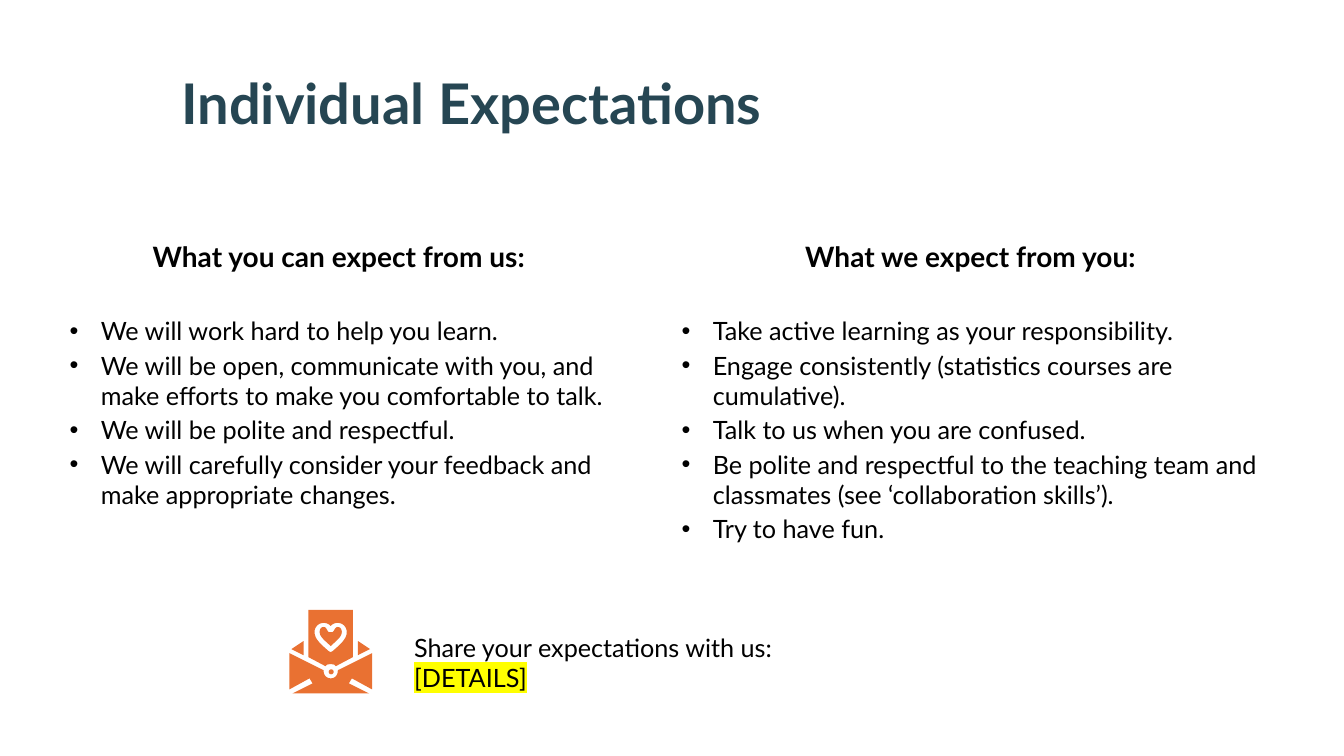
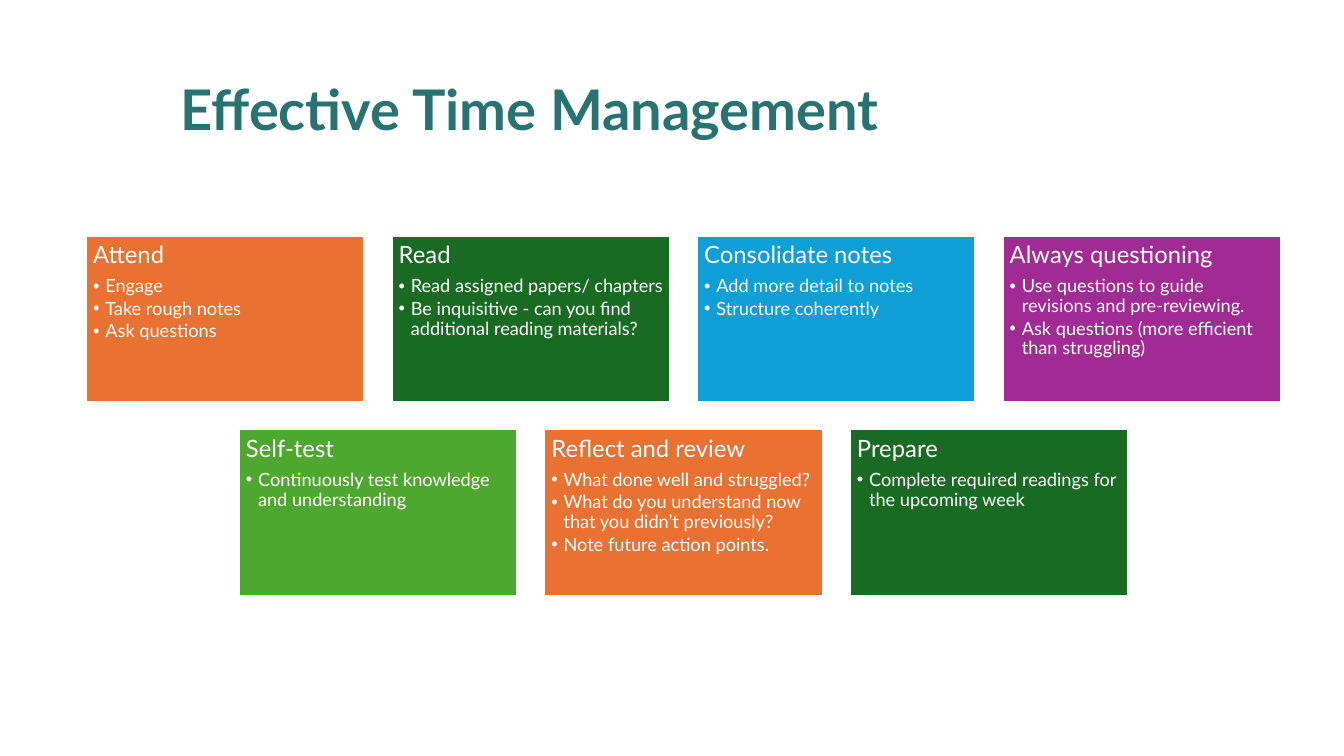
import pptx
import pptx.dml.color
import pptx.enum.shapes
import pptx.enum.text
import pptx.oxml
import pptx.oxml.ns
import pptx.util

Inches = pptx.util.Inches
Pt = pptx.util.Pt
RGBColor = pptx.dml.color.RGBColor
ALIGN = pptx.enum.text.PP_ALIGN
ANCHOR = pptx.enum.text.MSO_ANCHOR
SHAPE = pptx.enum.shapes.MSO_SHAPE

NAVY = RGBColor(0x26, 0x46, 0x53)
TEAL = RGBColor(0x28, 0x72, 0x71)
BLACK = RGBColor(0x00, 0x00, 0x00)
WHITE = RGBColor(0xFF, 0xFF, 0xFF)
ORANGE = RGBColor(0xE9, 0x71, 0x32)
GREEN = RGBColor(0x19, 0x6B, 0x24)
BLUE = RGBColor(0x0F, 0x9E, 0xD5)
PURPLE = RGBColor(0xA0, 0x2B, 0x93)
LIME = RGBColor(0x4E, 0xA7, 0x2E)
YELLOW = RGBColor(0xFF, 0xFF, 0x00)

FACE = "Lato"
TWO_LISTS, TITLE_ONLY = 3, 5

# Text formats: run font, and paragraph spacing
TITLE = {"size": Pt(40), "bold": True}
HEAD = {"size": Pt(20), "bold": True}
BODY = {"size": Pt(18), "bold": False}
CARD_HEAD = {"size": Pt(17)}
CARD_BODY = {"size": Pt(13)}
HEAD_GAP = {"alignment": ALIGN.CENTER, "space_before": 0, "space_after": Pt(30)}
BODY_GAP = {"alignment": ALIGN.LEFT, "space_before": 0, "space_after": Pt(3)}
CARD_HEAD_GAP = {"alignment": ALIGN.LEFT, "line_spacing": 0.9,
                 "space_after": Pt(6)}
CARD_GAP = {"alignment": ALIGN.LEFT, "level": 1, "line_spacing": 0.9,
            "space_before": 0, "space_after": Pt(2)}


def apply(item, values):
    for name, value in values.items():
        setattr(item, name, value)


def place(shape, left, top, width, height):
    apply(shape, {"left": Inches(left), "top": Inches(top),
                  "width": Inches(width), "height": Inches(height)})


def trace(steps):
    """Turn line ends (x, y) and cubic curves (six numbers) into points."""
    points = []
    for step in steps:
        if len(step) == 2:
            points.append(step)
            continue
        start = points[-1]
        knots = [start, step[:2], step[2:4], step[4:]]
        for i in range(1, 9):
            t = i / 8
            parts = ((1 - t) ** 3, 3 * t * (1 - t) ** 2, 3 * t * t * (1 - t), t ** 3)
            points.append(tuple(sum(w * k[axis] for w, k in zip(parts, knots))
                                for axis in (0, 1)))
    return points


def mirror(steps):
    """Close a right half, given as offsets from the axis, with its left half."""
    half = trace(steps)
    return half + [(-x, y) for x, y in reversed(half)]


class Deck:
    def __init__(self):
        self.show = pptx.Presentation()
        apply(self.show, {"slide_width": Inches(13.33),
                          "slide_height": Inches(7.5)})
        self.slide = None

    def page(self, layout, title, color, left, top, width):
        self.slide = self.show.slides.add_slide(self.show.slide_layouts[layout])
        shape = self.slide.shapes.title
        place(shape, left, top, width, 0.77)
        frame = self.frame(shape)
        self.put(frame.paragraphs[0], title, TITLE, color,
                 {"alignment": ALIGN.LEFT})

    def frame(self, shape):
        frame = shape.text_frame
        apply(frame, {"word_wrap": True, "vertical_anchor": ANCHOR.TOP,
                      "auto_size": pptx.enum.text.MSO_AUTO_SIZE.NONE})
        return frame

    def put(self, line, text, font, color, gap, bullet=None):
        apply(line, gap)
        props = line._p.get_or_add_pPr()
        indent = Inches(bullet or 0)
        props.set("marL", str(indent))
        props.set("indent", str(-indent))
        if bullet:
            face = pptx.oxml.ns.qn("a:buFont")
            props.append(props.makeelement(face, {"typeface": "Arial"}))
            mark = pptx.oxml.ns.qn("a:buChar")
            props.append(props.makeelement(mark, {"char": "•"}))
        else:
            props.append(props.makeelement(pptx.oxml.ns.qn("a:buNone"), {}))
        run = line.add_run()
        run.text = text
        apply(run.font, {"name": FACE, **font})
        run.font.color.rgb = color
        return run

    def column(self, slot, left, width, head, items):
        shape = self.slide.placeholders[slot]
        place(shape, left, 2.33, width, 3.15)
        frame = self.frame(shape)
        self.put(frame.paragraphs[0], head, HEAD, BLACK, HEAD_GAP)
        for item in items:
            self.put(frame.add_paragraph(), item, BODY, BLACK, BODY_GAP, 0.31)

    def card(self, left, top, width, height, color, head, items):
        shape = self.slide.shapes.add_shape(
            SHAPE.RECTANGLE, Inches(left), Inches(top), Inches(width), Inches(height))
        self.paint(shape, color)
        shape.line.color.rgb = WHITE
        shape.line.width = Pt(1.5)
        frame = self.frame(shape)
        apply(frame, {"margin_" + side: Inches(0.07)
                      for side in ("left", "top", "right", "bottom")})
        self.put(frame.paragraphs[0], head, CARD_HEAD, WHITE, CARD_HEAD_GAP)
        for item in items:
            self.put(frame.add_paragraph(), item, CARD_BODY, WHITE, CARD_GAP, 0.12)

    def note(self, left, top, width, text, marked):
        shape = self.slide.shapes.add_textbox(
            Inches(left), Inches(top), Inches(width), Inches(0.71))
        frame = self.frame(shape)
        gap = {"alignment": ALIGN.LEFT}
        self.put(frame.paragraphs[0], text, BODY, BLACK, gap)
        run = self.put(frame.add_paragraph(), marked, BODY, BLACK, gap)
        light = pptx.oxml.parse_xml(
            f'<a:highlight {pptx.oxml.ns.nsdecls("a")}>'
            f'<a:srgbClr val="{YELLOW}"/></a:highlight>')
        run._r.rPr.find(pptx.oxml.ns.qn("a:solidFill")).addnext(light)

    def paint(self, shape, color):
        shape.shadow.inherit = False
        shape.fill.solid()
        shape.fill.fore_color.rgb = color
        shape.line.fill.background()

    def outline(self, group, axis, color, *loops):
        """Draw closed loops as one shape; a loop inside another is a hole."""
        pen = None
        for loop in loops:
            points = [(Inches(axis + x), Inches(y)) for x, y in loop]
            if pen is None:
                pen = group.shapes.build_freeform(*points[0])
            else:
                pen.move_to(*points[0])
            pen.add_line_segments(points[1:], close=True)
        self.paint(pen.convert_to_shape(), color)

    def letter(self, axis, color):
        group = self.slide.shapes.add_group_shape()
        base = [(0, 6.73), (0.04, 6.73, 0.07, 6.7, 0.07, 6.66), (0.07, 6.65),
                (0.41, 6.48), (0.41, 6.84), (0.21, 6.73), (0.18, 6.78),
                (0.38, 6.88), (0, 6.88)]
        sheet = [(0, 6.05), (0.22, 6.05), (0.22, 6.52), (0.05, 6.61),
                 (0.04, 6.59, 0.02, 6.59, 0, 6.59)]
        hole = [(0, 6.21), (0.02, 6.19, 0.04, 6.18, 0.07, 6.18),
                (0.12, 6.18, 0.16, 6.22, 0.16, 6.27),
                (0.16, 6.34, 0.1, 6.39, 0.02, 6.46), (0, 6.47)]
        heart = [(0, 6.27), (0.02, 6.27), (0.03, 6.26),
                 (0.04, 6.24, 0.05, 6.22, 0.07, 6.22),
                 (0.1, 6.22, 0.11, 6.25, 0.11, 6.27),
                 (0.11, 6.32, 0.05, 6.36, 0, 6.41)]
        flap = [(0.27, 6.36), (0.27, 6.5), (0.39, 6.44)]
        self.outline(group, axis, color, mirror(base))
        for side in (1, -1):
            self.outline(group, axis, color, [(side * x, y) for x, y in flap])
        self.outline(group, axis, color, mirror(sheet), mirror(hole)[::-1])
        self.outline(group, axis, color, mirror(heart))
        seal = group.shapes.add_shape(
            SHAPE.OVAL, Inches(axis - 0.02), Inches(6.64), Inches(0.05), Inches(0.05))
        self.paint(seal, color)


def main():
    deck = Deck()

    # Slide 1: two lists and a request
    deck.page(TWO_LISTS, "Individual Expectations", NAVY, 1.7, 0.63, 7.06)
    deck.column(1, 0.59, 5.54, "What you can expect from us:", [
        "We will work hard to help you learn.",
        "We will be open, communicate with you, and make efforts to make you "
        "comfortable to talk.",
        "We will be polite and respectful.",
        "We will carefully consider your feedback and make appropriate changes.",
    ])
    deck.column(2, 6.66, 5.93, "What we expect from you:", [
        "Take active learning as your responsibility.",
        "Engage consistently (statistics courses are cumulative).",
        "Talk to us when you are confused.",
        "Be polite and respectful to the teaching team and classmates "
        "(see ‘collaboration skills’).",
        "Try to have fun.",
    ])
    deck.letter(3.28, ORANGE)
    deck.note(4.01, 6.22, 6.06, "Share your expectations with us:", "[DETAILS]")

    # Slide 2: rows of cards, each row centred
    deck.page(TITLE_ONLY, "Effective Time Management", TEAL, 1.69, 0.69, 8.51)
    rows = [
        [(ORANGE, "Attend", ["Engage", "Take rough notes", "Ask questions"]),
         (GREEN, "Read", ["Read assigned papers/ chapters",
                          "Be inquisitive - can you find additional reading "
                          "materials?"]),
         (BLUE, "Consolidate notes", ["Add more detail to notes",
                                      "Structure coherently"]),
         (PURPLE, "Always questioning", [
             "Use questions to guide revisions and pre-reviewing.",
             "Ask questions (more efficient than struggling)"])],
        [(LIME, "Self-test", ["Continuously test knowledge and understanding"]),
         (ORANGE, "Reflect and review", [
             "What done well and struggled?",
             "What do you understand now that you didn’t previously?",
             "Note future action points."]),
         (GREEN, "Prepare", ["Complete required readings for the upcoming week"])],
    ]
    width, height, gap, centre = 2.76, 1.65, 0.27, 6.78
    for i, row in enumerate(rows):
        start = centre - (len(row) * (width + gap) - gap) / 2
        for j, (color, head, items) in enumerate(row):
            deck.card(start + j * (width + gap), 2.34 + i * (height + gap),
                      width, height, color, head, items)

    deck.show.save("out.pptx")


if __name__ == "__main__":
    main()
